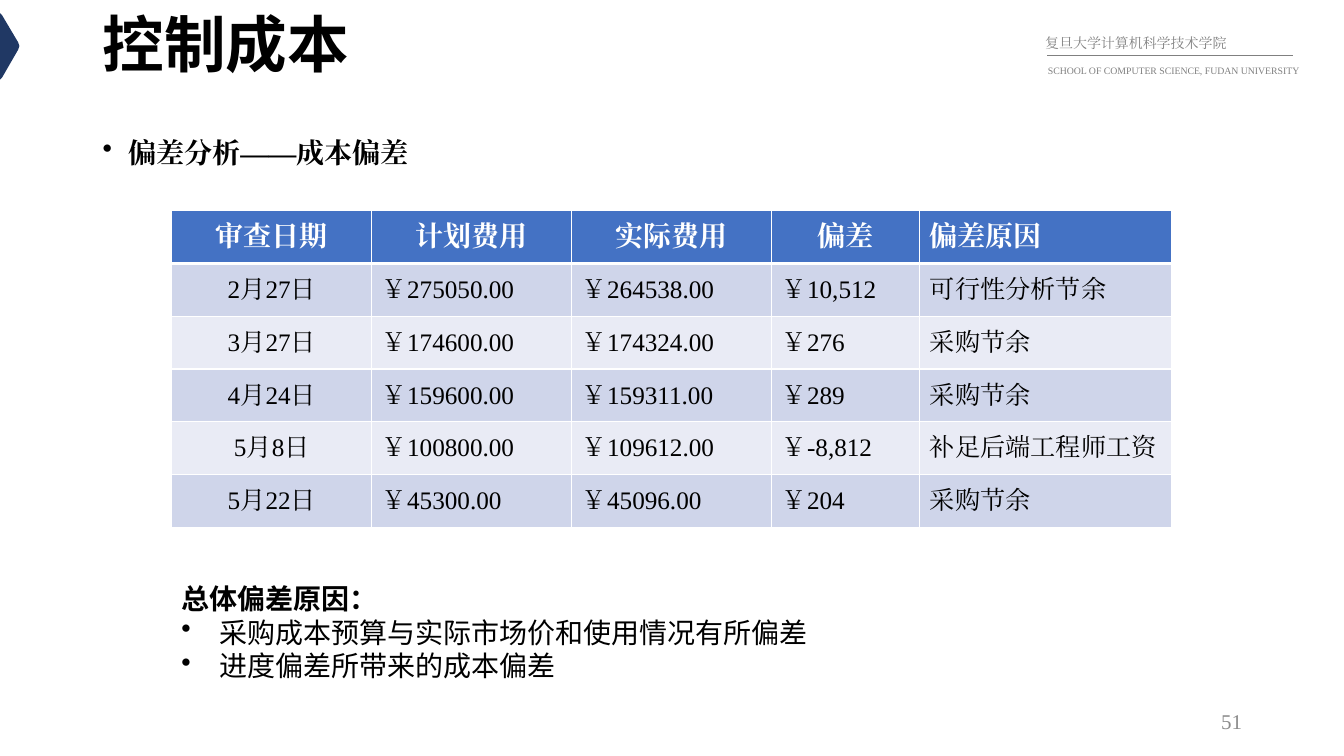
from lxml.etree import SubElement
from pptx import Presentation
from pptx.dml.color import RGBColor
from pptx.enum.shapes import MSO_CONNECTOR
from pptx.enum.text import MSO_ANCHOR, PP_ALIGN
from pptx.oxml.ns import qn
from pptx.util import Cm, Pt

COLORS = {
    "navy": "203864", "gray": "808080", "page": "8C8C8C", "black": "000000",
    "white": "FFFFFF", "header": "4472C4", "odd": "CFD5EA", "even": "E9EBF5",
}
COLORS = {name: RGBColor.from_string(value) for name, value in COLORS.items()}
SERIF = "Times New Roman"
SANS = "Noto Sans CJK SC"


def format_paragraph(paragraph, size, color, font=SERIF, bold=False,
                     align=PP_ALIGN.LEFT, spacing=None, indent=None):
    paragraph.alignment = align
    if indent:
        properties = paragraph._p.get_or_add_pPr()
        properties.set("marL", str(Cm(indent)))
        properties.set("indent", str(-Cm(indent)))
        SubElement(properties, qn("a:buChar"), char="•")
    if spacing:
        paragraph.line_spacing = spacing
    for run in paragraph.runs:
        run.font.size = Pt(size)
        run.font.bold = bold
        run.font.name = font
        run.font.color.rgb = COLORS[color]
        SubElement(run._r.rPr, qn("a:ea"), typeface=font)


def add_text(box, text, anchor=MSO_ANCHOR.TOP):
    frame = slide.shapes.add_textbox(*[Cm(length) for length in box]).text_frame
    frame.word_wrap = True
    frame.vertical_anchor = anchor
    frame.text = text
    return frame.paragraphs


presentation = Presentation()
presentation.slide_width = Cm(33.87)
presentation.slide_height = Cm(19.05)
slide = presentation.slides.add_slide(presentation.slide_layouts[6])

# Arrow tab on the left edge
outline = [(0, 0.33), (0.05, 0.38), (0.46, 1.07), (0.49, 1.16),
           (0.46, 1.25), (0.05, 1.96), (0, 2.01)]
points = [(Cm(x), Cm(y)) for x, y in outline]
builder = slide.shapes.build_freeform(*points[0])
builder.add_line_segments(points[1:], close=True)
tab = builder.convert_to_shape()
tab.shadow.inherit = False
tab.fill.solid()
tab.fill.fore_color.rgb = COLORS["navy"]
tab.line.fill.background()

# School name with a rule between the two languages
school = add_text((26.09, 0.53, 6.91, 0.81), "复旦大学计算机科学技术学院")
format_paragraph(school[0], 10, "gray", align=PP_ALIGN.JUSTIFY, spacing=1.5)
rule = slide.shapes.add_connector(
    MSO_CONNECTOR.STRAIGHT, Cm(26.39), Cm(1.4), Cm(32.59), Cm(1.4))
rule.line.color.rgb = COLORS["gray"]
rule.line.width = Pt(0.5)
SubElement(rule._element.spPr, qn("a:effectLst"))
school = add_text((26.16, 1.35, 6.91, 0.66),
                  "SCHOOL OF COMPUTER SCIENCE, FUDAN UNIVERSITY")
format_paragraph(school[0], 7, "gray", spacing=1.5)

# Title, subject and page number
title = add_text((2.34, 0, 29.21, 2.41), "控制成本", MSO_ANCHOR.MIDDLE)
format_paragraph(title[0], 44, "black", SANS, bold=True, spacing=0.9)
subject = add_text((2.34, 3.12, 29.21, 1.5), "偏差分析——成本偏差")
format_paragraph(subject[0], 20, "black", bold=True, spacing=1.2, indent=0.64)
page = add_text((28.37, 17.65, 3.18, 1.02), "51", MSO_ANCHOR.MIDDLE)
format_paragraph(page[0], 15, "page", align=PP_ALIGN.RIGHT)

# Cost variance table
rows = [
    ("审查日期", "计划费用", "实际费用", "偏差", "偏差原因"),
    ("2月27日", "￥275050.00", "￥264538.00", "￥10,512", "可行性分析节余"),
    ("3月27日", "￥174600.00", "￥174324.00", "￥276", "采购节余"),
    ("4月24日", "￥159600.00", "￥159311.00", "￥289", "采购节余"),
    ("5月8日", "￥100800.00", "￥109612.00", "￥-8,812", "补足后端工程师工资"),
    ("5月22日", "￥45300.00", "￥45096.00", "￥204", "采购节余"),
]
widths = [5.04, 5.04, 5.04, 3.73, 6.35]
row_height = 1.33
table = slide.shapes.add_table(
    len(rows), len(widths), Cm(4.33), Cm(5.31),
    Cm(sum(widths)), Cm(row_height * len(rows))).table
for column, width in zip(table.columns, widths):
    column.width = Cm(width)
for row_index, values in enumerate(rows):
    is_header = row_index == 0
    table.rows[row_index].height = Cm(row_height)
    fill = "header" if is_header else "odd" if row_index % 2 else "even"
    for column_index, value in enumerate(values):
        cell = table.cell(row_index, column_index)
        cell.text = value
        cell.vertical_anchor = MSO_ANCHOR.MIDDLE
        centered = column_index == 0 or (is_header and column_index < 4)
        format_paragraph(
            cell.text_frame.paragraphs[0], 20 if is_header else 18,
            "white" if is_header else "black", bold=is_header,
            align=PP_ALIGN.CENTER if centered else PP_ALIGN.LEFT)
        # White borders, thicker under the header
        properties = cell._tc.get_or_add_tcPr()
        for side in "LRTB":
            thick = (row_index, side) in [(0, "B"), (1, "T")]
            border = SubElement(properties, qn(f"a:ln{side}"),
                                w=str(Pt(3 if thick else 1)))
            solid = SubElement(border, qn("a:solidFill"))
            SubElement(solid, qn("a:srgbClr"), val=str(COLORS["white"]))
        cell.fill.solid()
        cell.fill.fore_color.rgb = COLORS[fill]

# Overall reasons
heading, *reasons = add_text(
    (4.32, 14.53, 16.5, 2.82),
    "总体偏差原因：\n采购成本预算与实际市场价和使用情况有所偏差\n进度偏差所带来的成本偏差")
format_paragraph(heading, 20, "black", SANS, bold=True)
for reason in reasons:
    format_paragraph(reason, 20, "black", SANS, indent=0.95)

presentation.save("out.pptx")
